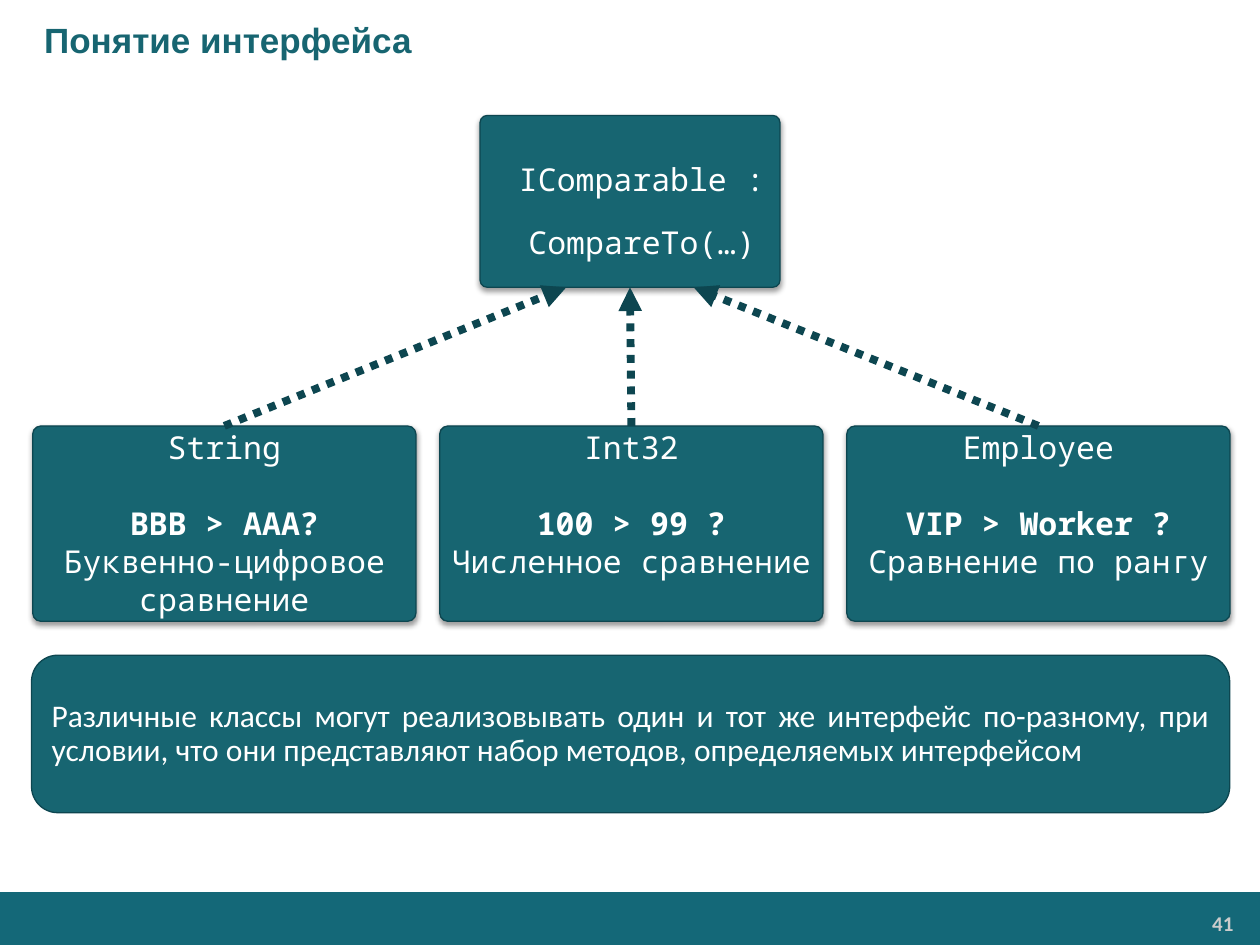
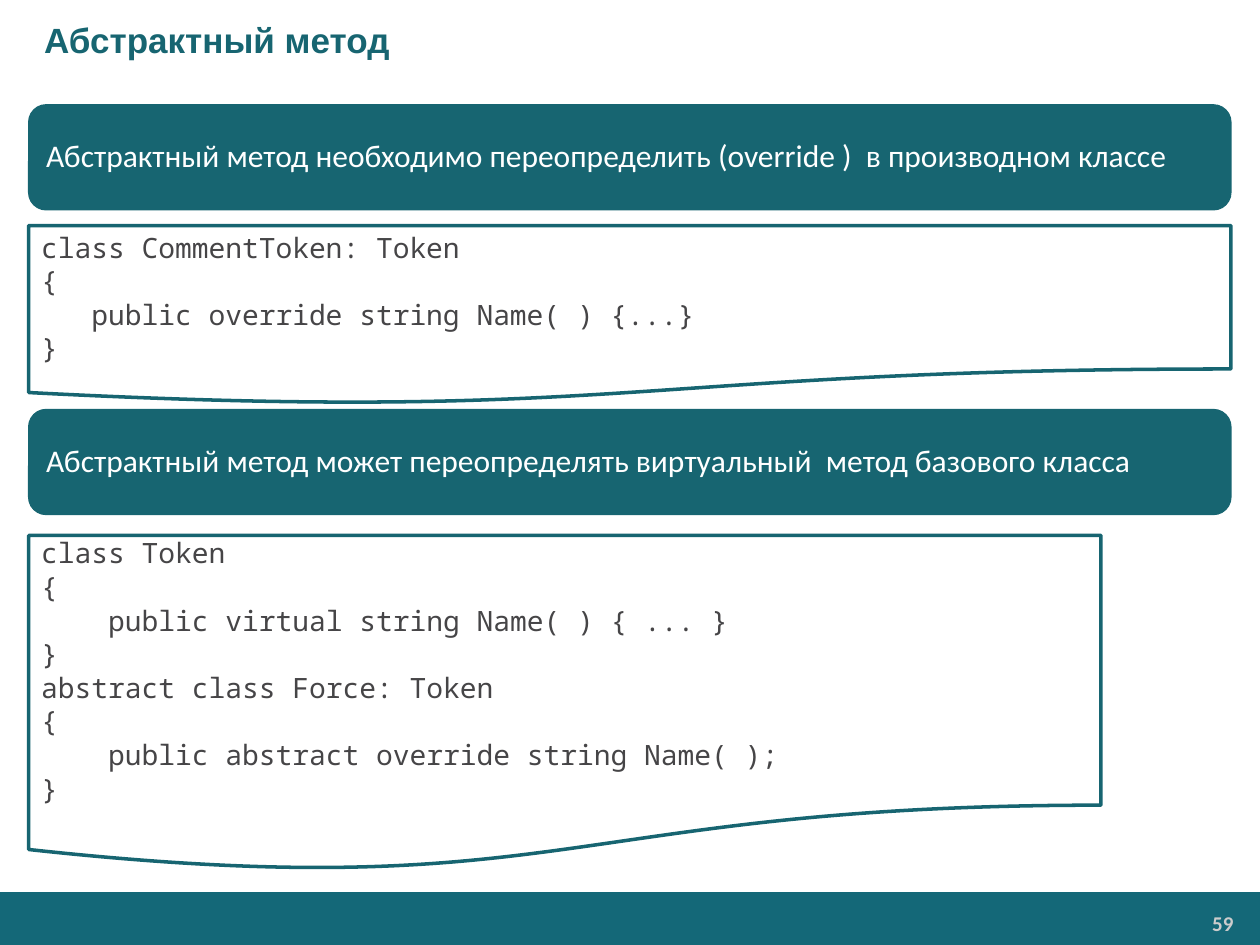
from dataclasses import dataclass

from lxml import etree
from pptx import Presentation
from pptx.dml.color import RGBColor
from pptx.enum.dml import MSO_LINE
from pptx.enum.shapes import MSO_CONNECTOR, MSO_SHAPE
from pptx.enum.text import MSO_ANCHOR, MSO_AUTO_SIZE, PP_ALIGN
from pptx.oxml import parse_xml
from pptx.oxml.ns import nsdecls, qn
from pptx.util import Pt

RECT, ROUNDED = MSO_SHAPE.RECTANGLE, MSO_SHAPE.ROUNDED_RECTANGLE
DOCUMENT = MSO_SHAPE.FLOWCHART_DOCUMENT
LEFT, CENTER, RIGHT, JUSTIFY = (
    PP_ALIGN.LEFT, PP_ALIGN.CENTER, PP_ALIGN.RIGHT, PP_ALIGN.JUSTIFY)
TOP, MIDDLE = MSO_ANCHOR.TOP, MSO_ANCHOR.MIDDLE
INSETS = (7.2, 3.6, 7.2, 3.6)
CARD_INSETS = (0, 0, 0, 3.6)
TITLE_ONLY = 5


@dataclass(frozen=True)
class Theme:
    teal: str = "176571"
    dark: str = "0D4650"
    band: str = "146878"
    white: str = "FFFFFF"
    code: str = "464547"
    number: str = "CCCCCC"
    title_font: str = "Arial"
    body_font: str = "Calibri"
    code_font: str = "Noto Sans Mono"
    title_size: float = 20
    body_size: float = 18
    code_size: float = 16
    number_size: float = 12


class Deck:
    def __init__(self, theme):
        self.t = theme
        self.prs = Presentation()
        self.prs.slide_width, self.prs.slide_height = Pt(720), Pt(540)
        self.s = None

    def slide(self, title, number):
        """Start a slide with its title, footer band and number."""
        t = self.t
        self.s = self.prs.slides.add_slide(self.prs.slide_layouts[TITLE_ONLY])
        self.shape(RECT, 0, 509.76, 720, 30.24, t.band)
        box = self.s.shapes.add_textbox(Pt(592.5), Pt(517.7), Pt(117.4), Pt(20))
        self.text(box, [str(number)], t.body_font, t.number_size, t.number,
                  RIGHT, TOP, (5.04, 2.88, 5.04, 2.88), bold=True)
        sp = self.s.shapes.title
        sp.left, sp.top, sp.width, sp.height = Pt(0), Pt(0), Pt(720), Pt(45.4)
        self.text(sp, [title], t.title_font, t.title_size, t.teal, LEFT,
                  bold=True)
        self.indent(sp, 18)

    def text(self, sp, lines, font, size, color, align, anchor=MIDDLE,
             insets=INSETS, bold=False, spacing=None):
        tf = sp.text_frame
        tf.word_wrap, tf.auto_size = True, MSO_AUTO_SIZE.NONE
        tf.vertical_anchor = anchor
        (tf.margin_left, tf.margin_top,
         tf.margin_right, tf.margin_bottom) = map(Pt, insets)
        tf.text = "\n".join(lines)
        for p in tf.paragraphs:
            p.alignment = align
            if spacing:
                p.line_spacing = spacing
            for r in p.runs:
                r.font.name, r.font.size, r.font.bold = font, Pt(size), bold
                r.font.color.rgb = RGBColor.from_string(color)

    def indent(self, sp, points):
        for p in sp.text_frame.paragraphs:
            pPr = p._p.get_or_add_pPr()
            pPr.set("marL", str(Pt(points)))
            pPr.set("indent", "0")

    def shape(self, kind, x, y, w, h, fill, line=None, weight=0.75):
        sp = self.s.shapes.add_shape(kind, Pt(x), Pt(y), Pt(w), Pt(h))
        sp.shadow.inherit = False
        sp.fill.solid()
        sp.fill.fore_color.rgb = RGBColor.from_string(fill)
        if line:
            sp.line.color.rgb = RGBColor.from_string(line)
            sp.line.width = Pt(weight)
        else:
            sp.line.fill.background()
        return sp

    def card(self, x, y, w, h, lines, anchor=TOP, spacing=None):
        """Class card with slightly rounded corners and a soft shadow."""
        t = self.t
        sp = self.shape(ROUNDED, x, y, w, h, t.teal, t.dark)
        sp.adjustments[0] = 0.042
        sp._element.spPr.find(qn("a:effectLst")).append(parse_xml(
            f'<a:outerShdw {nsdecls("a")} blurRad="{Pt(3.1)}" dist="{Pt(1.6)}" '
            'dir="5400000" rotWithShape="0"><a:srgbClr val="000000">'
            '<a:alpha val="38000"/></a:srgbClr></a:outerShdw>'))
        self.text(sp, lines, t.code_font, t.body_size, t.white, CENTER,
                  anchor, CARD_INSETS, spacing=spacing)
        return sp

    def banner(self, x, y, w, h, text, line):
        t = self.t
        sp = self.shape(ROUNDED, x, y, w, h, t.teal, line)
        self.text(sp, [text], t.body_font, t.body_size, t.white, JUSTIFY,
                  spacing=0.9)

    def code(self, x, y, w, h, source):
        t = self.t
        sp = self.shape(DOCUMENT, x, y, w, h, t.white, t.teal, 2)
        self.text(sp, source.split("\n"), t.code_font, t.code_size, t.code, LEFT)

    def arrow(self, x1, y1, x2, y2):
        c = self.s.shapes.add_connector(
            MSO_CONNECTOR.STRAIGHT, Pt(x1), Pt(y1), Pt(x2), Pt(y2))
        c.line.color.rgb = RGBColor.from_string(self.t.dark)
        c.line.width = Pt(4.5)
        c.line.dash_style = MSO_LINE.ROUND_DOT
        etree.SubElement(c.line._ln, qn("a:tailEnd"), type="triangle")
        etree.SubElement(c._element.spPr, qn("a:effectLst"))


def interface_slide(d):
    d.slide("Понятие интерфейса", 41)

    # Interface card
    card_w, card_top, pitch = 219, 243.4, 232.6
    interface_bottom = 164.2
    sp = d.card(274.3, 66, 171.4, interface_bottom - 66,
                ["IComparable :\vCompareTo(…)"], MIDDLE, 1.65)
    d.indent(sp, 13.5)

    # Implementing classes, each pointing to the interface
    classes = [
        ("String", "BBB > AAA?", "Буквенно-цифровое сравнение"),
        ("Int32", "100 > 99 ?", "Численное сравнение"),
        ("Employee", "VIP > Worker ?", "Сравнение по рангу"),
    ]
    for i, lines in enumerate(classes):
        x = 18.7 + i * pitch
        sp = d.card(x, card_top, card_w, 111.6, lines)
        example = sp.text_frame.paragraphs[1]
        example.space_before = Pt(21.7)
        example.runs[0].font.bold = True
        d.arrow(x + card_w / 2, card_top, 360 + (i - 1) * 36.4, interface_bottom)

    # Conclusion
    d.banner(18, 374.4, 684.7, 90,
             "Различные классы могут реализовывать один и тот же интерфейс "
             "по-разному, при условии, что они представляют набор методов, "
             "определяемых интерфейсом", d.t.dark)


def abstract_method_slide(d):
    d.slide("Абстрактный метод", 59)
    x, w, banner_h = 16.4, 687, 60

    # Overriding in a derived class
    d.banner(x, 59.9, w, banner_h,
             "Абстрактный метод необходимо переопределить (override )  "
             "в производном классе", d.t.teal)
    d.code(x, 128.9, w, 102.2, """class CommentToken: Token
{
   public override string Name( ) {...}
}""")

    # Overriding a virtual method of the base class
    d.banner(x, 234, w, banner_h,
             "Абстрактный метод может переопределять виртуальный  "
             "метод базового класса", d.t.teal)
    d.code(x, 306, 612.7, 192.2, """class Token
{
    public virtual string Name( ) { ... }
}
abstract class Force: Token
{
    public abstract override string Name( );
}""")


def main():
    d = Deck(Theme())
    interface_slide(d)
    abstract_method_slide(d)
    d.prs.save("out.pptx")


if __name__ == "__main__":
    main()
